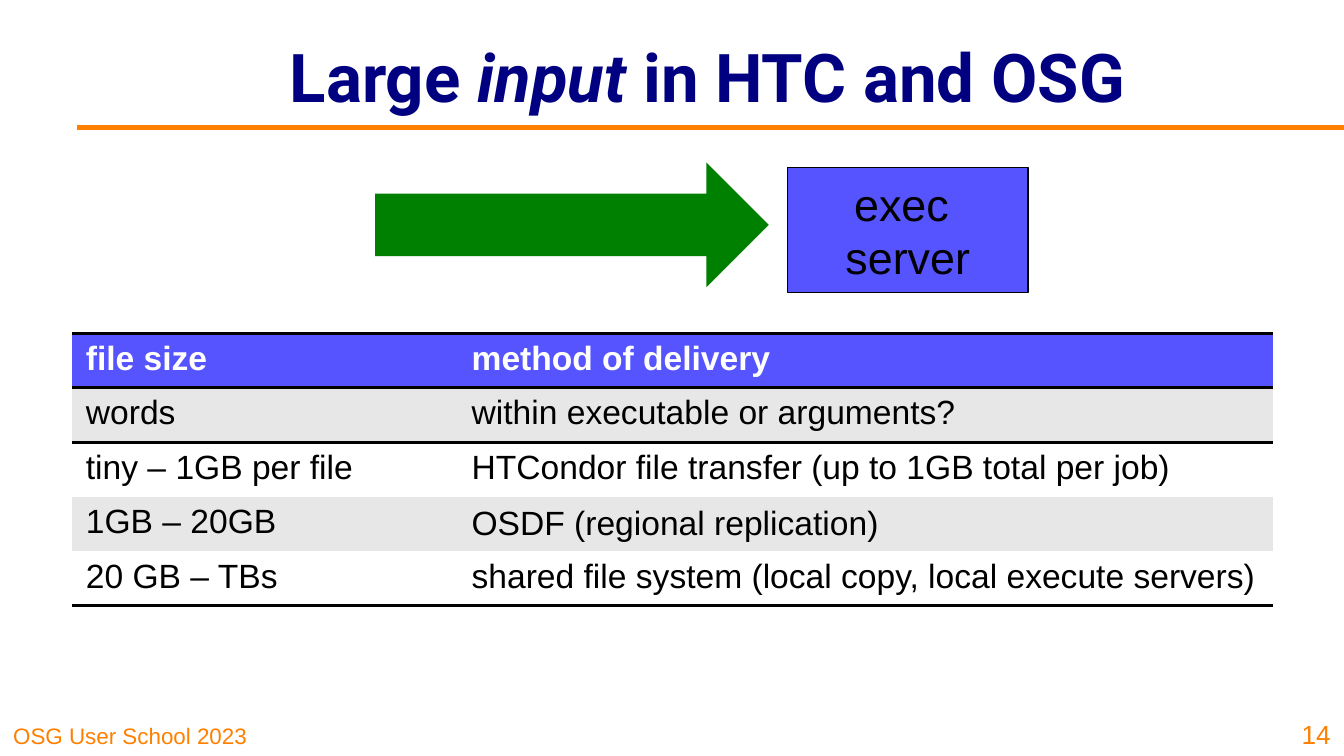
from dataclasses import dataclass

from lxml import etree
from pptx import Presentation
from pptx.dml.color import RGBColor
from pptx.enum.shapes import MSO_CONNECTOR, MSO_SHAPE
from pptx.enum.text import MSO_ANCHOR, PP_ALIGN
from pptx.oxml.ns import qn
from pptx.slide import Slide
from pptx.table import _Cell
from pptx.text.text import TextFrame
from pptx.util import Cm, Pt

STRAIGHT = MSO_CONNECTOR.STRAIGHT
RECTANGLE, RIGHT_ARROW = MSO_SHAPE.RECTANGLE, MSO_SHAPE.RIGHT_ARROW
TOP, MIDDLE, BOTTOM = MSO_ANCHOR.TOP, MSO_ANCHOR.MIDDLE, MSO_ANCHOR.BOTTOM
LEFT, CENTER, RIGHT = PP_ALIGN.LEFT, PP_ALIGN.CENTER, PP_ALIGN.RIGHT

COLORS = {
    "black": "000000",
    "white": "FFFFFF",
    "navy": "000080",
    "orange": "FF8000",
    "blue": "5554FF",
    "green": "008000",
    "gray": "E7E7E7",
}
NO_STYLE_NO_GRID = "{2D5ABB26-0587-4C30-8999-92F81FD0307C}"
BORDER_WIDTH = Pt(2)
COLUMN_WIDTHS = (7.29, 15.39)
ROW_HEIGHT = 1.03
DELIVERY_ROWS = (
    ("file size", "method of delivery"),
    ("words", "within executable or arguments?"),
    ("tiny – 1GB per file", "HTCondor file transfer (up to 1GB total per job)"),
    ("1GB – 20GB", "OSDF (regional replication)"),
    ("20 GB – TBs", "shared file system (local copy, local execute servers)"),
)


@dataclass(frozen=True)
class Box:
    left: float
    top: float
    width: float
    height: float

    def lengths(self) -> tuple[Cm, Cm, Cm, Cm]:
        return Cm(self.left), Cm(self.top), Cm(self.width), Cm(self.height)


@dataclass(frozen=True)
class TextStyle:
    size: int
    color: str
    align: PP_ALIGN = LEFT
    anchor: MSO_ANCHOR = TOP
    font: str = "Arial"
    bold: bool = False


@dataclass(frozen=True)
class Label:
    box: Box
    runs: tuple[str, ...]
    style: TextStyle
    italic_run: str = ""


LABELS = (
    Label(Box(0, 13.49, 6.3, 0.79), ("OSG User School 2023",),
          TextStyle(12, "orange", LEFT, BOTTOM)),
    Label(Box(3.4, 0.23, 19.94, 2.39), ("Large ", "input", " in HTC and OSG"),
          TextStyle(36, "navy", CENTER, MIDDLE, "Roboto", True), "input"),
    Label(Box(24.23, 13.34, 1.17, 0.95), ("14",),
          TextStyle(14, "orange", RIGHT, BOTTOM)),
)


def rgb(name: str) -> RGBColor:
    return RGBColor.from_string(COLORS[name])


def format_text(text_frame: TextFrame, style: TextStyle) -> None:
    for paragraph in text_frame.paragraphs:
        paragraph.alignment = style.align
        for run in paragraph.runs:
            run.font.name = style.font
            run.font.size = Pt(style.size)
            run.font.bold = style.bold
            run.font.color.rgb = rgb(style.color)


def add_label(slide: Slide, label: Label) -> None:
    text_frame = slide.shapes.add_textbox(*label.box.lengths()).text_frame
    text_frame.word_wrap = True
    text_frame.vertical_anchor = label.style.anchor
    for text in label.runs:
        run = text_frame.paragraphs[0].add_run()
        run.text = text
        if text == label.italic_run:
            run.font.italic = True
    format_text(text_frame, label.style)


def add_title_rule(slide: Slide) -> None:
    rule = slide.shapes.add_connector(STRAIGHT, Cm(1.45), Cm(2.41), Cm(25.4), Cm(2.41))
    rule.line.color.rgb = rgb("orange")
    rule.line.width = Pt(3)
    etree.SubElement(rule._element.spPr, qn("a:effectLst"))


def add_transfer_arrow(slide: Slide) -> None:
    arrow = slide.shapes.add_shape(RIGHT_ARROW, *Box(7.09, 3.07, 7.44, 2.36).lengths())
    arrow.shadow.inherit = False
    arrow.fill.solid()
    arrow.fill.fore_color.rgb = rgb("green")
    arrow.line.fill.background()


def add_server(slide: Slide) -> None:
    server = slide.shapes.add_shape(RECTANGLE, *Box(14.88, 3.17, 4.55, 2.36).lengths())
    server.shadow.inherit = False
    server.fill.solid()
    server.fill.fore_color.rgb = rgb("blue")
    server.line.color.rgb = rgb("black")
    server.line.width = Pt(0.75)
    server.text_frame.word_wrap = True
    server.text_frame.vertical_anchor = MIDDLE
    server.text_frame.text = "exec \vserver"
    format_text(server.text_frame, TextStyle(24, "black", CENTER))


def add_border(cell: _Cell, tag: str) -> None:
    line = etree.Element(qn(tag), w=str(BORDER_WIDTH))
    fill = etree.SubElement(line, qn("a:solidFill"))
    etree.SubElement(fill, qn("a:srgbClr"), val=COLORS["black"])
    cell._tc.get_or_add_tcPr().insert(0, line)


def add_delivery_table(slide: Slide) -> None:
    row_count = len(DELIVERY_ROWS)
    box = Box(1.37, 6.3, sum(COLUMN_WIDTHS), row_count * ROW_HEIGHT)
    frame = slide.shapes.add_table(row_count, len(COLUMN_WIDTHS), *box.lengths())
    table = frame.table
    table._tbl.tblPr.find(qn("a:tableStyleId")).text = NO_STYLE_NO_GRID
    for column, width in zip(table.columns, COLUMN_WIDTHS):
        column.width = Cm(width)
    for row_index, texts in enumerate(DELIVERY_ROWS):
        table.rows[row_index].height = Cm(ROW_HEIGHT)
        header = row_index == 0
        band = "gray" if row_index % 2 else "white"
        style = TextStyle(18, "white" if header else "black", bold=header)
        for column_index, text in enumerate(texts):
            cell = table.cell(row_index, column_index)
            cell.text_frame.text = text
            format_text(cell.text_frame, style)
            cell.fill.solid()
            cell.fill.fore_color.rgb = rgb("blue" if header else band)
            if row_index in (0, row_count - 1):
                add_border(cell, "a:lnB")
            if row_index in (0, 1):
                add_border(cell, "a:lnT")
    table.cell(3, 1).vertical_anchor = MIDDLE


def main() -> None:
    presentation = Presentation()
    presentation.slide_width = Cm(25.4)
    presentation.slide_height = Cm(14.29)
    slide = presentation.slides.add_slide(presentation.slide_layouts[6])
    add_title_rule(slide)
    for label in LABELS:
        add_label(slide, label)
    add_delivery_table(slide)
    add_server(slide)
    add_transfer_arrow(slide)
    presentation.save("out.pptx")


if __name__ == "__main__":
    main()
